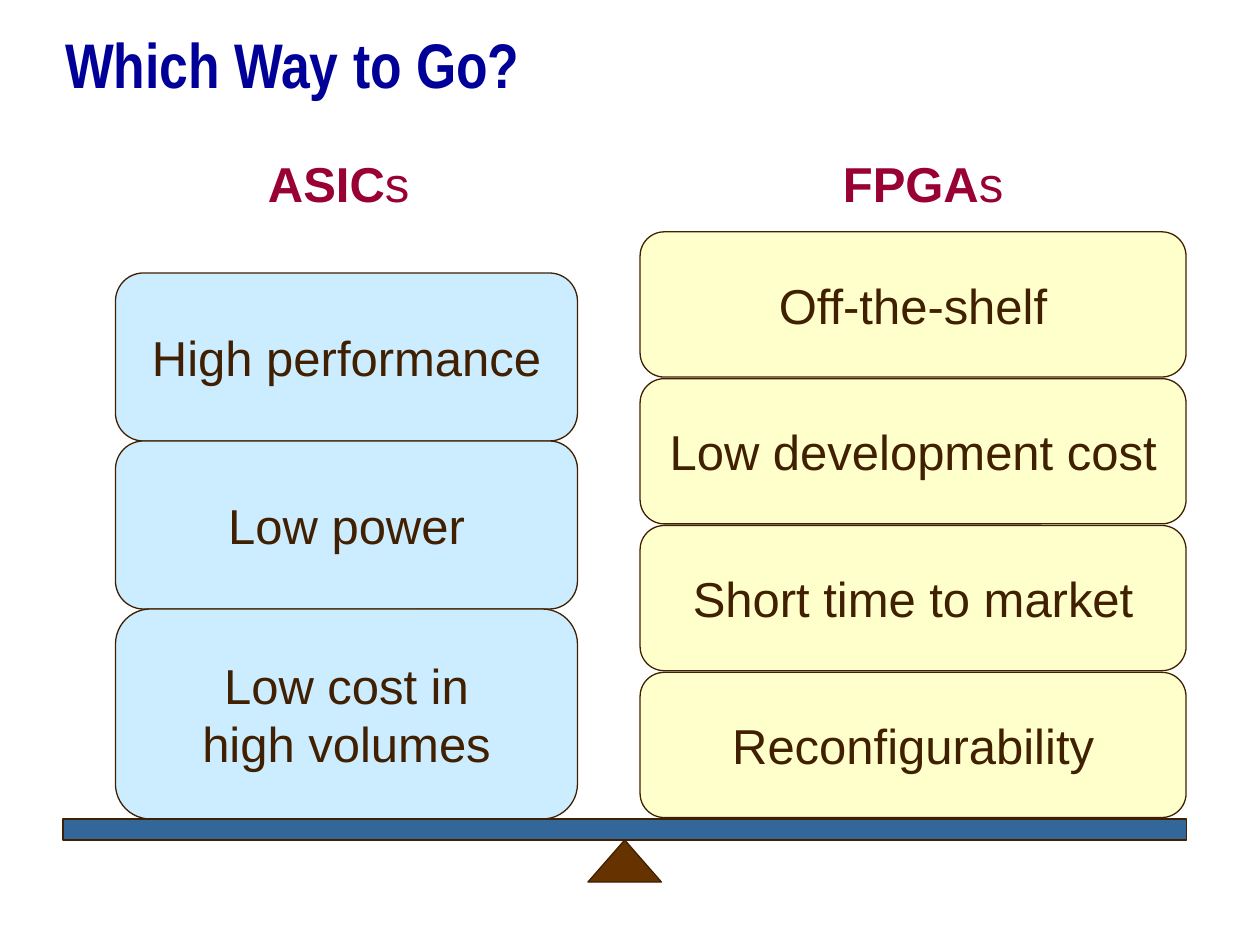
from pptx import Presentation
from pptx.dml.color import RGBColor
from pptx.enum import shapes, text
from pptx.util import Pt

SHAPE = shapes.MSO_SHAPE


def color(hex_string):
    return RGBColor.from_string(hex_string)


class SlideBuilder:
    font = "Arial"
    size = 28
    ink = "402000"
    heading_color = "990033"
    title_font = "Arial Narrow"
    title_size = 36
    title_color = "000099"

    def __init__(self, prs):
        self.s = prs.slides.add_slide(prs.slide_layouts[5])

    def set_font(self, p, name, size, hex_string, bold=None):
        p.font.name = name
        p.font.size = Pt(size)
        p.font.color.rgb = color(hex_string)
        p.font.bold = bold

    def title(self, words, x, y, w, h):
        sp = self.s.shapes.title
        sp.left, sp.top, sp.width, sp.height = Pt(x), Pt(y), Pt(w), Pt(h)
        tf = sp.text_frame
        tf.text = words
        tf.vertical_anchor = text.MSO_ANCHOR.MIDDLE
        p = tf.paragraphs[0]
        p.alignment = text.PP_ALIGN.LEFT
        self.set_font(p, self.title_font, self.title_size, self.title_color, True)

    def heading(self, acronym, x, y, w, h):
        """Write a bold acronym followed by a plain plural s."""
        sp = self.s.shapes.add_textbox(Pt(x), Pt(y), Pt(w), Pt(h))
        tf = sp.text_frame
        tf.word_wrap = False
        tf.auto_size = text.MSO_AUTO_SIZE.SHAPE_TO_FIT_TEXT
        p = tf.paragraphs[0]
        p.alignment = text.PP_ALIGN.CENTER
        self.set_font(p, self.font, self.size, self.heading_color)
        for words, bold in ((acronym, True), ("s", False)):
            r = p.add_run()
            r.text = words
            r.font.bold = bold

    def shape(self, kind, x, y, w, h, fill):
        sp = self.s.shapes.add_shape(kind, Pt(x), Pt(y), Pt(w), Pt(h))
        sp.shadow.inherit = False
        sp.fill.solid()
        sp.fill.fore_color.rgb = color(fill)
        sp.line.color.rgb = color(self.ink)
        sp.line.width = Pt(0.75)
        return sp

    def block(self, words, x, y, w, h, fill):
        sp = self.shape(SHAPE.ROUNDED_RECTANGLE, x, y, w, h, fill)
        tf = sp.text_frame
        tf.word_wrap = False
        tf.vertical_anchor = text.MSO_ANCHOR.MIDDLE
        p = tf.paragraphs[0]
        p.text = words
        p.alignment = text.PP_ALIGN.CENTER
        self.set_font(p, self.font, self.size, self.ink)

    def stack(self, blocks, x, y, w, fill, gap=0):
        """Pile (words, height) blocks downwards from y."""
        for words, h in blocks:
            self.block(words, x, y, w, h, fill)
            y += h + gap


def main():
    prs = Presentation()
    prs.slide_width, prs.slide_height = Pt(720), Pt(540)
    b = SlideBuilder(prs)

    b.title("Which Way to Go?", 30, 6, 660, 60)
    b.heading("ASIC", 146, 84, 95, 41)
    b.heading("FPGA", 474.5, 84, 106, 41)

    fpga_points = ("Off-the-shelf", "Low development cost",
                   "Short time to market", "Reconfigurability")
    b.stack([(words, 83) for words in fpga_points],
            365.75, 132.5, 312, "FFFFCC", gap=0.9)
    asic_points = (("High performance", 96), ("Low power", 96),
                   ("Low cost in\vhigh volumes", 120))
    b.stack(asic_points, 66, 156, 264, "CCECFF")

    b.shape(SHAPE.RECTANGLE, 36, 468, 642, 12, "336699")
    b.shape(SHAPE.ISOSCELES_TRIANGLE, 336, 480, 42, 24, "663300")

    prs.save("out.pptx")


if __name__ == "__main__":
    main()
